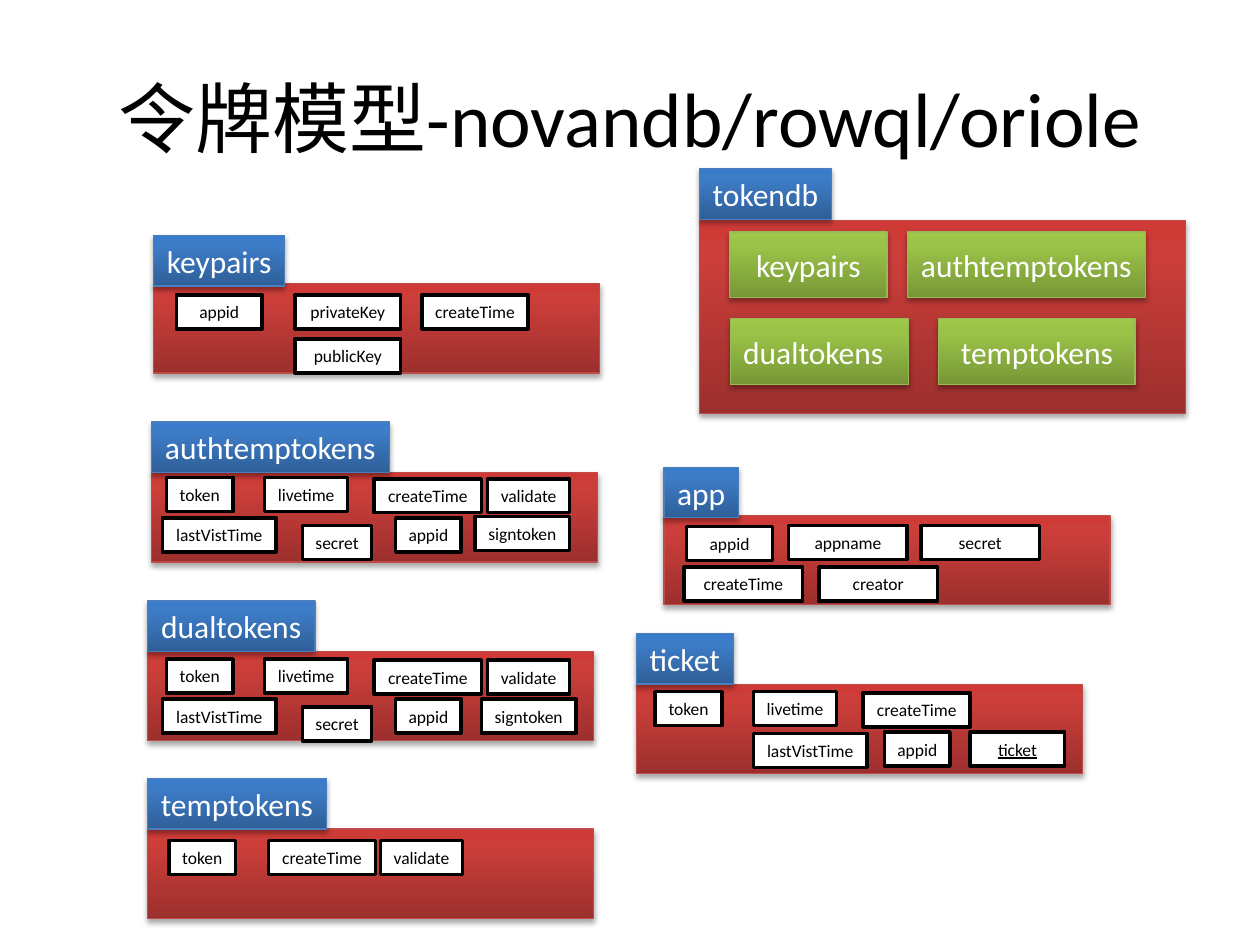
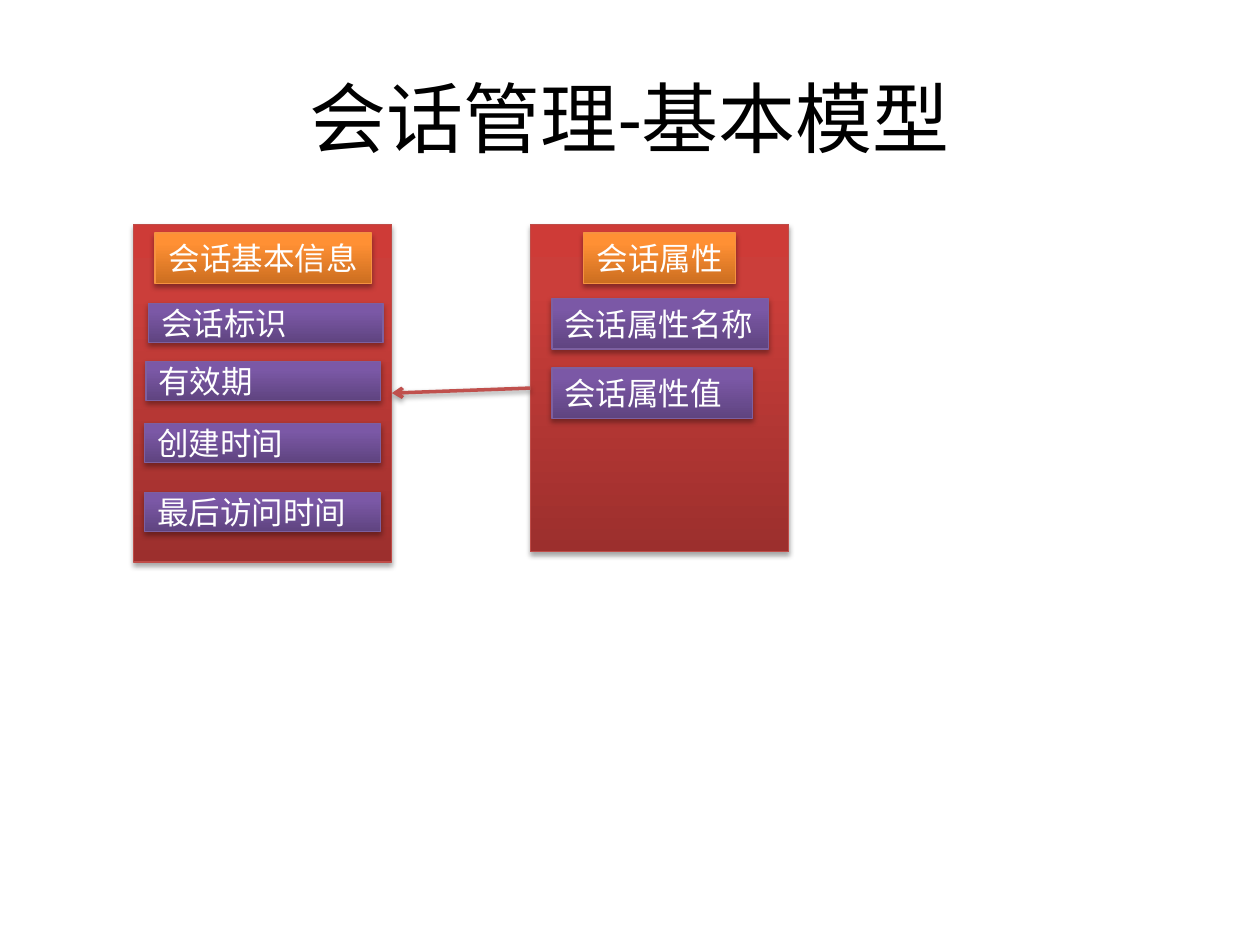
import copy
from dataclasses import dataclass

import pptx
import pptx.dml.color
import pptx.enum.dml
import pptx.enum.shapes
import pptx.enum.text
import pptx.oxml
import pptx.oxml.ns
import pptx.util
from lxml import etree

Inches = pptx.util.Inches
Pt = pptx.util.Pt
qn = pptx.oxml.ns.qn
ALIGN = pptx.enum.text.PP_ALIGN


@dataclass(frozen=True)
class Paint:
    """Gradient from the bottom up, with its outline."""
    stops: tuple
    line: str


@dataclass(frozen=True)
class Theme:
    font: str = "Calibri"
    title_size: int = 44
    box_size: int = 18
    field_size: int = 10
    black: str = "000000"
    white: str = "FFFFFF"
    arrow: str = "C0504D"
    red: Paint = Paint(("9C2F2D", "CB3E3A", "CE3B37"), "BF4C48")
    blue: Paint = Paint(("2F5F99", "3D7CC7", "3A7CCB"), "4B7EBC")
    green: Paint = Paint(("779737", "9BC348", "9DC746"), "98B955")
    orange: Paint = Paint(("CC6E20", "FF9034", "FF9136"), "F69240")
    purple: Paint = Paint(("5F4480", "7B58A6", "7C57A8"), "7D60A0")


THEME = Theme()
STOP_POSITIONS = (0, 0.8, 1)
LABEL_HEIGHT = 0.4
FIELD_HEIGHT = 0.27
PANEL_SIZE = (3.54, 0.71)

# Fields: name, offset right, offset down, width
TOKEN_FIELDS = [
    ("token", 0, 0, 0.53),
    ("livetime", 0.78, 0, 0.66),
    ("createTime", 1.65, 0.01, 0.85),
]
FULL_TOKEN_FIELDS = TOKEN_FIELDS + [
    ("validate", 2.55, 0.01, 0.65),
    ("lastVistTime", -0.03, 0.32, 0.9),
    ("secret", 1.08, 0.38, 0.55),
    ("appid", 1.82, 0.32, 0.52),
]

# Collections: name, panel corner, label width, label rise, field origin, fields
COLLECTIONS = [
    ("keypairs", (1.22, 2.25), 1.04, 0.38, (1.4, 2.34), [
        ("appid", 0, 0, 0.68),
        ("privateKey", 0.94, 0, 0.84),
        ("createTime", 1.95, 0, 0.84),
        ("publicKey", 0.94, 0.35, 0.84),
    ]),
    ("authtemptokens", (1.2, 3.75), 1.89, 0.4, (1.32, 3.79),
     FULL_TOKEN_FIELDS + [("signtoken", 2.45, 0.31, 0.75)]),
    ("dualtokens", (1.17, 5.17), 1.33, 0.4, (1.32, 5.23),
     FULL_TOKEN_FIELDS + [("signtoken", 2.5, 0.32, 0.75)]),
    ("temptokens", (1.17, 6.58), 1.42, 0.4, (1.34, 6.67), [
        ("token", 0, 0, 0.53),
        ("createTime", 0.79, 0, 0.85),
        ("validate", 1.68, 0, 0.65),
    ]),
    ("app", (5.27, 4.09), 0.59, 0.38, (5.45, 4.17), [
        ("appid", 0, 0.01, 0.68),
        ("appname", 0.81, 0, 0.94),
        ("secret", 1.86, 0, 0.94),
        ("createTime", -0.02, 0.33, 0.94),
        ("creator", 1.05, 0.33, 0.94),
    ]),
    ("ticket", (5.05, 5.43), 0.77, 0.4, (5.2, 5.49), TOKEN_FIELDS + [
        ("lastVistTime", 0.78, 0.33, 0.9),
        ("appid", 1.82, 0.32, 0.52),
    ]),
]


def color(value):
    return pptx.dml.color.RGBColor.from_string(value)


def write_text(shape, text, *, size, ink, align=ALIGN.CENTER, wrap=True, underline=None):
    frame = shape.text_frame
    frame.word_wrap = wrap
    frame.vertical_anchor = pptx.enum.text.MSO_ANCHOR.MIDDLE
    paragraph = frame.paragraphs[0]
    paragraph.alignment = align
    run = paragraph.add_run()
    run.text = text
    run.font.name = THEME.font
    run.font.size = Pt(size)
    run.font.color.rgb = color(ink)
    run.font.underline = underline


def add_shadow(shape, opacity, distance):
    properties = shape._element.spPr
    effects = properties.find(qn("a:effectLst"))
    if effects is None:
        effects = etree.SubElement(properties, qn("a:effectLst"))
    shadow = etree.SubElement(effects, qn("a:outerShdw"), blurRad=str(Pt(3.1)),
                              dist=str(Pt(distance)), dir="5400000", rotWithShape="0")
    shade = etree.SubElement(shadow, qn("a:srgbClr"), val=THEME.black)
    etree.SubElement(shade, qn("a:alpha"), val=str(opacity * 1000))


def add_rectangle(slide, left, top, width, height):
    shape = slide.shapes.add_shape(
        pptx.enum.shapes.MSO_SHAPE.RECTANGLE,
        Inches(left), Inches(top), Inches(width), Inches(height))
    shape.shadow.inherit = False
    return shape


def add_box(slide, left, top, width, height, paint, text=None, **text_format):
    """Gradient rectangle with a soft shadow and optional white text."""
    shape = add_rectangle(slide, left, top, width, height)
    shape.fill.gradient()
    shape.fill.gradient_angle = 90
    stop_list = shape._element.spPr.find(".//" + qn("a:gsLst"))
    stop_list.append(copy.deepcopy(stop_list[-1]))
    for stop, position, shade in zip(shape.fill.gradient_stops, STOP_POSITIONS, paint.stops):
        stop.position = position
        stop.color.rgb = color(shade)
    shape.line.color.rgb = color(paint.line)
    shape.line.width = Pt(0.75)
    add_shadow(shape, opacity=35, distance=1.8)
    if text:
        write_text(shape, text, size=THEME.box_size, ink=THEME.white, **text_format)
    return shape


def add_label(slide, left, top, width, text, paint):
    add_box(slide, left, top, width, LABEL_HEIGHT, paint, text, wrap=False)


def add_field(slide, left, top, width, text, underline=None):
    shape = add_rectangle(slide, left, top, width, FIELD_HEIGHT)
    shape.fill.solid()
    shape.fill.fore_color.rgb = color(THEME.white)
    shape.line.color.rgb = color(THEME.black)
    shape.line.width = Pt(2)
    write_text(shape, text, size=THEME.field_size, ink=THEME.black,
               wrap=False, underline=underline)


def add_collection(slide, name, corner, label_width, label_rise, origin, fields):
    left, top = corner
    add_box(slide, left, top, *PANEL_SIZE, THEME.red)
    add_label(slide, left, top - label_rise, label_width, name, THEME.blue)
    for text, right, down, width in fields:
        add_field(slide, origin[0] + right, origin[1] + down, width, text)


def add_arrow(slide, target, source):
    """Line between facing sides, with its head at the target."""
    connector = slide.shapes.add_connector(
        pptx.enum.shapes.MSO_CONNECTOR.STRAIGHT, 0, 0, 0, 0)
    connector.begin_connect(target, 3)
    connector.end_connect(source, 1)
    connector.line.color.rgb = color(THEME.arrow)
    connector.line.width = Pt(2)
    outline = connector._element.spPr.find(qn("a:ln"))
    etree.SubElement(outline, qn("a:headEnd"), type="arrow")
    add_shadow(connector, opacity=38, distance=1.6)


def add_titled_slide(presentation, text):
    slide = presentation.slides.add_slide(presentation.slide_layouts[5])
    title = slide.shapes.title
    title.left, title.top = Inches(0.5), Inches(0.3)
    title.width, title.height = Inches(9), Inches(1.25)
    write_text(title, text, size=THEME.title_size, ink=THEME.black)
    return slide


def build_token_model(presentation):
    slide = add_titled_slide(presentation, "令牌模型-novandb/rowql/oriole")

    # Database with its collections
    add_box(slide, 5.55, 1.75, 3.86, 1.53, THEME.red)
    add_label(slide, 5.55, 1.34, 1.05, "tokendb", THEME.blue)
    for text, left, top, width, align in [
        ("keypairs", 5.79, 1.84, 1.25, ALIGN.CENTER),
        ("authtemptokens", 7.2, 1.84, 1.89, ALIGN.CENTER),
        ("dualtokens", 5.8, 2.53, 1.41, ALIGN.LEFT),
        ("temptokens", 7.45, 2.53, 1.56, ALIGN.CENTER),
    ]:
        add_box(slide, left, top, width, 0.52, THEME.green, text, align=align)

    # Fields of each collection
    for collection in COLLECTIONS:
        add_collection(slide, *collection)
    add_field(slide, 7.7, 5.81, 0.75, "ticket", underline=True)


def build_session_model(presentation):
    slide = add_titled_slide(presentation, "会话管理-基本模型")

    # Entities and their relation
    session = add_box(slide, 1.06, 1.78, 2.05, 2.68, THEME.red)
    attribute = add_box(slide, 4.21, 1.78, 2.05, 2.6, THEME.red)
    add_arrow(slide, session, attribute)
    add_label(slide, 1.23, 1.85, 1.72, "会话基本信息", THEME.orange)
    add_label(slide, 4.63, 1.85, 1.21, "会话属性", THEME.orange)

    # Properties of each entity
    for text, left, top, width, height in [
        ("会话标识", 1.18, 2.41, 1.86, 0.31),
        ("有效期", 1.16, 2.87, 1.86, 0.31),
        ("创建时间", 1.15, 3.36, 1.87, 0.31),
        ("最后访问时间", 1.15, 3.91, 1.87, 0.31),
        ("会话属性名称", 4.38, 2.37, 1.72, 0.4),
        ("会话属性值", 4.38, 2.92, 1.59, 0.4),
    ]:
        add_box(slide, left, top, width, height, THEME.purple, text, align=ALIGN.LEFT)


def main():
    presentation = pptx.Presentation()
    presentation.slide_width = Inches(10)
    presentation.slide_height = Inches(7.5)
    build_token_model(presentation)
    build_session_model(presentation)
    presentation.save("out.pptx")


if __name__ == "__main__":
    main()
